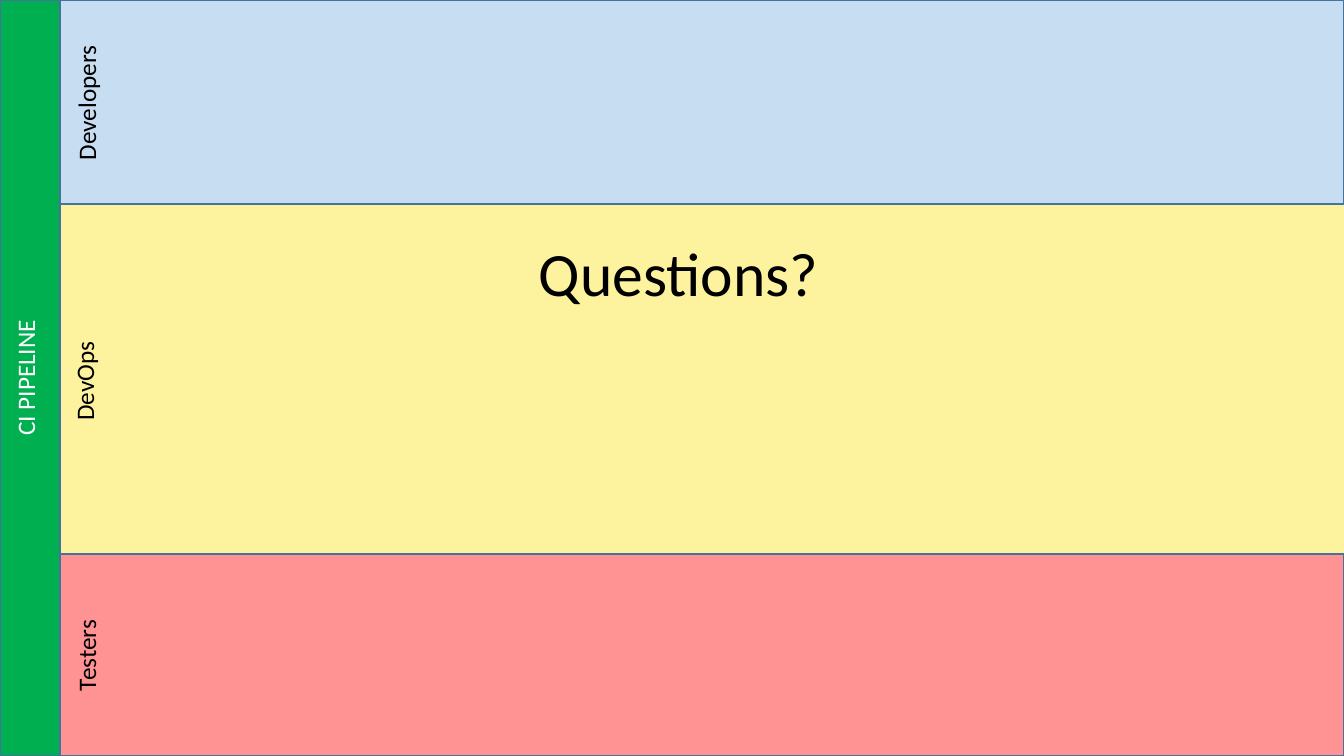
from dataclasses import dataclass

from pptx import Presentation
from pptx.dml.color import RGBColor
from pptx.enum.shapes import MSO_SHAPE
from pptx.enum.text import MSO_ANCHOR, MSO_AUTO_SIZE, PP_ALIGN
from pptx.shapes.autoshape import Shape
from pptx.slide import Slide
from pptx.util import Emu, Pt

EMU_PER_PX = 914400 / 100.8
SLIDE_W, SLIDE_H = 1344, 756


@dataclass(frozen=True)
class Theme:
    font: str = "Calibri"
    label_size: int = 18
    title_size: int = 44
    line_width: int = 1
    line: str = "43739E"
    devops: str = "FDF29D"
    developers: str = "C7DDF1"
    testers: str = "FF9393"
    pipeline: str = "00B050"
    dark_text: str = "000000"
    light_text: str = "FFFFFF"


THEME = Theme()


@dataclass(frozen=True)
class Box:
    left: int
    top: int
    width: int
    height: int

    def emu(self) -> tuple[Emu, ...]:
        return tuple(Emu(round(px * EMU_PER_PX))
                     for px in (self.left, self.top, self.width, self.height))


@dataclass(frozen=True)
class Band:
    box: Box
    fill: str


@dataclass(frozen=True)
class Label:
    text: str
    box: Box
    color: str = THEME.dark_text


BANDS = [
    Band(Box(0, 0, SLIDE_W, 204), THEME.developers),
    Band(Box(0, 554, SLIDE_W, 202), THEME.testers),
    Band(Box(0, 0, 60, SLIDE_H), THEME.pipeline),
]
LABELS = [
    Label("CI PIPELINE", Box(5, 233, 50, 290), THEME.light_text),
    Label("Developers", Box(66, -42, 50, 290)),
    Label("DevOps", Box(64, 236, 50, 290)),
    Label("Testers", Box(66, 513, 50, 285)),
]
TITLE = Label("Questions?", Box(529, 145, 1008, 263))


def add_band(slide: Slide, band: Band) -> None:
    shape = slide.shapes.add_shape(MSO_SHAPE.RECTANGLE, *band.box.emu())
    shape.shadow.inherit = False
    shape.fill.solid()
    shape.fill.fore_color.rgb = RGBColor.from_string(band.fill)
    shape.line.color.rgb = RGBColor.from_string(THEME.line)
    shape.line.width = Pt(THEME.line_width)


def add_text(slide: Slide, label: Label, size: int) -> Shape:
    box = slide.shapes.add_textbox(*label.box.emu())
    box.text_frame.word_wrap = True
    run = box.text_frame.paragraphs[0].add_run()
    run.text = label.text
    run.font.name = THEME.font
    run.font.size = Pt(size)
    run.font.color.rgb = RGBColor.from_string(label.color)
    return box


def add_vertical_label(slide: Slide, label: Label) -> None:
    frame = add_text(slide, label, THEME.label_size).text_frame
    frame.auto_size = MSO_AUTO_SIZE.SHAPE_TO_FIT_TEXT
    frame.paragraphs[0].alignment = PP_ALIGN.CENTER
    frame._txBody.bodyPr.set("vert", "vert270")


def add_title(slide: Slide, label: Label) -> None:
    frame = add_text(slide, label, THEME.title_size).text_frame
    frame.vertical_anchor = MSO_ANCHOR.MIDDLE
    frame.paragraphs[0].line_spacing = 0.9


def main() -> None:
    prs = Presentation()
    prs.slide_width = Emu(round(SLIDE_W * EMU_PER_PX))
    prs.slide_height = Emu(round(SLIDE_H * EMU_PER_PX))
    slide = prs.slides.add_slide(prs.slide_layouts[6])

    # The background serves as the DevOps lane
    slide.background.fill.solid()
    slide.background.fill.fore_color.rgb = RGBColor.from_string(THEME.devops)

    # Lanes and pipeline rail
    for band in BANDS:
        add_band(slide, band)

    # Rotated lane names
    for label in LABELS:
        add_vertical_label(slide, label)

    # Closing title
    add_title(slide, TITLE)
    prs.save("out.pptx")


main()
